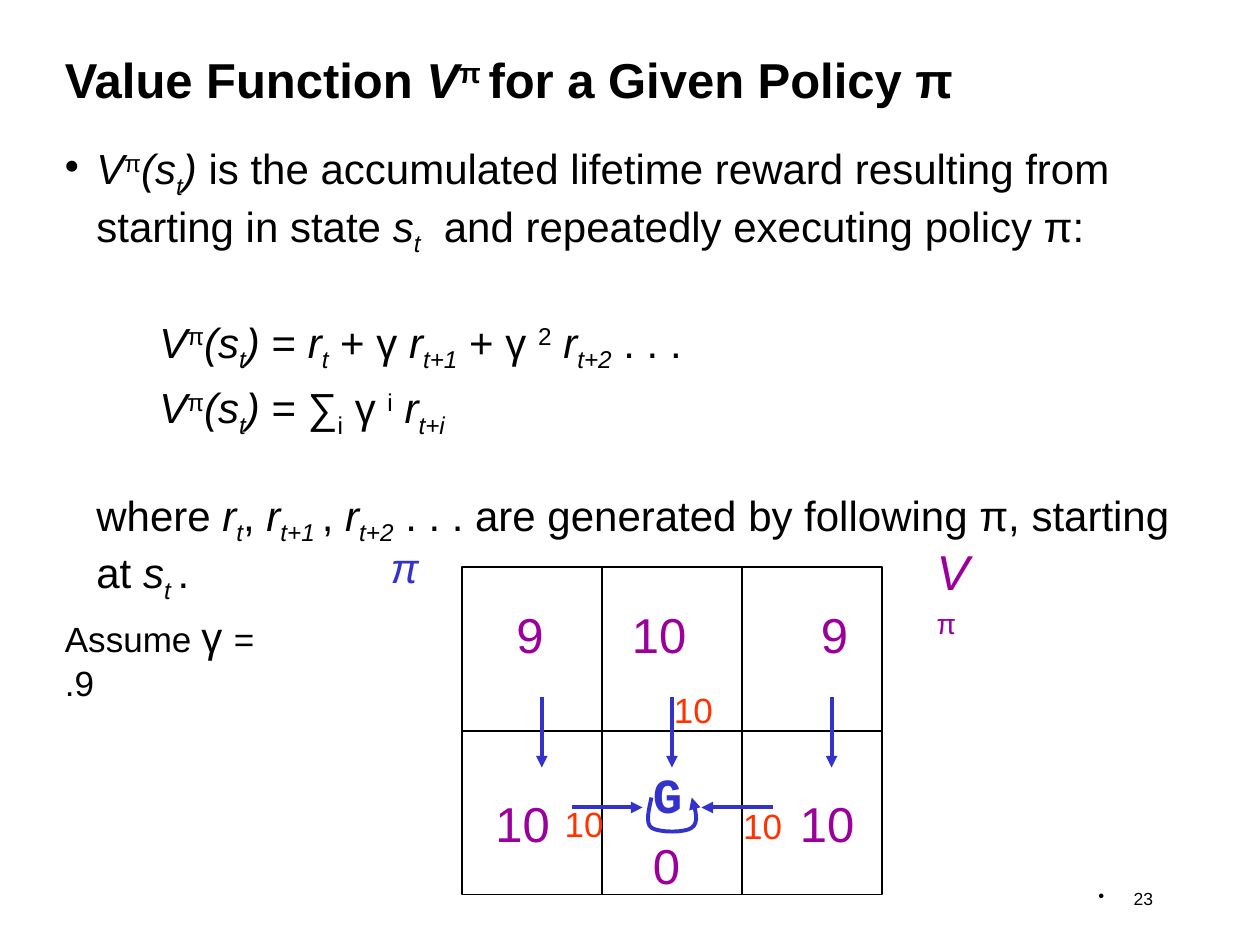
from dataclasses import dataclass
from typing import NamedTuple

from lxml.etree import SubElement
from pptx import Presentation
from pptx.dml.color import RGBColor
from pptx.enum.shapes import MSO_CONNECTOR, MSO_SHAPE
from pptx.enum.text import MSO_ANCHOR, PP_ALIGN
from pptx.oxml.ns import qn
from pptx.util import Inches, Pt


@dataclass(frozen=True)
class Theme:
    font: str = "Arial"
    goal_font: str = "Courier New"
    ink: str = "000000"
    value: str = "9C009C"
    policy: str = "3333CC"
    reward: str = "FF3300"
    title: int = 28
    body: int = 24
    note: int = 20
    number: int = 10


THEME = Theme()
UNIT = 1 / 12  # the slide is a grid of 120 columns by 90 rows


class Piece(NamedTuple):
    """A stretch of text; style holds i (italic), ^ (superscript), _ (subscript)."""
    text: str
    style: str = ""
    size: int = 0


class Para(NamedTuple):
    pieces: list[Piece]
    before: float = 0
    left: float = 0
    hanging: float = 0  # a bullet is drawn when this is set


class Label(NamedTuple):
    text: str
    col: float
    row: float
    width: float
    height: float
    size: int
    color: str
    font: str = THEME.font
    bold: bool = False


class Move(NamedTuple):
    start: tuple[float, float]
    end: tuple[float, float]


def grid(cells: float) -> int:
    return Inches(cells * UNIT)


def sub(base: str, index: str) -> list[Piece]:
    return [Piece(base, "i"), Piece(index, "i_")]


def write(slide, col: float, row: float, width: float, height: float, paras: list[Para],
          size: int, color: str = THEME.ink, font: str = THEME.font, bold: bool = False,
          left: float = 0.1, wrap: bool = True):
    box = slide.shapes.add_textbox(grid(col), grid(row), grid(width), grid(height))
    frame = box.text_frame
    frame.word_wrap = wrap
    frame.margin_left = Inches(left)
    for index, para in enumerate(paras):
        paragraph = frame.add_paragraph() if index else frame.paragraphs[0]
        if para.before:
            paragraph.space_before = Pt(para.before)
        props = paragraph._p.get_or_add_pPr()
        props.set("marL", str(Inches(para.left)))
        props.set("indent", str(-Inches(para.hanging)))
        if para.hanging:
            SubElement(props, qn("a:buChar")).set("char", "•")
        for piece in para.pieces:
            run = paragraph.add_run()
            run.text = piece.text
            run.font.name, run.font.size = font, Pt(piece.size or size)
            run.font.bold, run.font.italic = bold, "i" in piece.style
            run.font.color.rgb = RGBColor.from_string(color)
            for mark, shift in (("^", "30000"), ("_", "-25000")):
                if mark in piece.style:
                    run._r.get_or_add_rPr().set("baseline", shift)
    return frame


def draw_label(slide, label: Label) -> None:
    write(slide, label.col, label.row, label.width, label.height, [Para([Piece(label.text)])],
          label.size, label.color, label.font, label.bold, wrap=False)


def style_arrow(shape) -> None:
    shape.line.color.rgb = RGBColor.from_string(THEME.policy)
    shape.line.width = Pt(2.25)
    SubElement(shape.line._get_or_add_ln(), qn("a:tailEnd")).set("type", "triangle")


def draw_move(slide, move: Move) -> None:
    arrow = slide.shapes.add_connector(
        MSO_CONNECTOR.STRAIGHT, *map(grid, move.start), *map(grid, move.end))
    style_arrow(arrow)
    SubElement(arrow._element.spPr, qn("a:effectLst"))


def draw_cell(slide, column: int, row: int) -> None:
    width, height = 40 / 3, 15.6
    cell = slide.shapes.add_shape(MSO_SHAPE.RECTANGLE, grid(44 + column * width),
                                  grid(54 + row * height), grid(width), grid(height))
    cell.shadow.inherit = False
    cell.fill.background()
    cell.line.color.rgb = RGBColor.from_string(THEME.ink)
    cell.line.width = Pt(1)


def bezier(points: list[tuple[float, float]], t: float) -> tuple[int, int]:
    weights = ((1 - t) ** 3, 3 * t * (1 - t) ** 2, 3 * t * t * (1 - t), t ** 3)
    return tuple(Inches(sum(w * p[axis] for w, p in zip(weights, points))) for axis in (0, 1))


def draw_goal_loop(slide) -> None:
    curves = [[(5.17, 6.33), (5.15, 6.43), (5.12, 6.53), (5.17, 6.57)],
              [(5.17, 6.57), (5.23, 6.61), (5.44, 6.61), (5.49, 6.57)],
              [(5.49, 6.57), (5.55, 6.53), (5.52, 6.43), (5.49, 6.33)]]
    steps = 8
    trace = [bezier(curve, step / steps) for curve in curves for step in range(1, steps + 1)]
    builder = slide.shapes.build_freeform(*bezier(curves[0], 0))
    builder.add_line_segments(trace, close=False)
    loop = builder.convert_to_shape()
    loop.shadow.inherit = False
    loop.fill.background()
    style_arrow(loop)


VALUE_OF_STATE = [Piece("V", "i"), Piece("π", "^"), *sub("(s", "t"), Piece(")", "i")]
DEFINITION = [
    Para([*VALUE_OF_STATE,
          Piece(" is the accumulated lifetime reward resulting from starting in state "),
          *sub("s", "t"), Piece("  and repeatedly executing policy π:")],
         left=0.25, hanging=0.25),
    Para([*VALUE_OF_STATE, Piece(" = "), *sub("r", "t"), Piece(" + γ "), *sub("r", "t+1"),
          Piece(" + γ "), Piece("2", "^"), Piece(" "), *sub("r", "t+2"), Piece(" . . .")],
         before=33.6, left=0.75),
    Para([*VALUE_OF_STATE, Piece(" = ∑"), Piece("i", "_"), Piece(" γ "), Piece("i", "^"),
          Piece(" "), *sub("r", "t+i")], before=4.8, left=0.75),
    Para([Piece("where "), *sub("r", "t"), Piece(", "), *sub("r", "t+1 "), Piece(", "),
          *sub("r", "t+2"),
          Piece(" . . . are generated by following π, starting at "),
          *sub("s", "t "), Piece(".")], before=28.6, left=0.25),
]
STATE_VALUES = [
    Label(text, col, row, 7.7 if len(text) > 1 else 5, 6.8, THEME.title, THEME.value)
    for text, col, row in [("9", 48, 57), ("10", 59, 57), ("9", 77, 57),
                           ("10", 46, 75), ("0", 61, 79), ("10", 75, 75)]]
REWARDS = [Label("10", col, row, 6.1, 5.2, THEME.note, THEME.reward)
           for col, row in [(63, 65), (69.6, 76), (52.6, 75.8)]]
GOAL = Label("G", 61, 72.2, 5.2, 6.8, THEME.title, THEME.policy, THEME.goal_font, True)
MOVES = [Move((col, 66.4), (col, 73.1)) for col in (51.6, 64, 79.2)]
MOVES += [Move((54.5, 76.9), (61.2, 76.9)), Move((73.6, 76.9), (66.8, 76.9))]


def main() -> None:
    deck = Presentation()
    deck.slide_width, deck.slide_height = grid(120), grid(90)
    slide = deck.slides.add_slide(deck.slide_layouts[6])

    # Title, definition and page number
    title = write(slide, 5, 2, 102, 11, [Para([
        Piece("Value Function "), Piece("V", "i"), Piece("π ", "^"),
        Piece("for a Given Policy π")])], THEME.title, bold=True)
    title.vertical_anchor = MSO_ANCHOR.MIDDLE
    write(slide, 5, 13, 111, 41, DEFINITION, THEME.body)
    number = write(slide, 82, 84, 29, 4, [Para([Piece("23")], left=0.28, hanging=0.28)],
                   THEME.number)
    number.paragraphs[0].alignment = PP_ALIGN.RIGHT

    # Assumption and headings of the grid world
    write(slide, 5, 57.6, 23.6, 6, [Para([
        Piece("Assume "), Piece("γ ", size=THEME.body), Piece("= .9")])], THEME.note)
    write(slide, 30, 51, 9.4, 6, [Para([Piece("π", "i")])], THEME.body, THEME.policy, left=0.6)
    write(slide, 82, 51, 13.2, 6.8, [Para([Piece("V", "i"), Piece("π", "^")])],
          THEME.title, THEME.value, left=0.6)

    # Grid world: cells, policy arrows, values and rewards
    for column in range(3):
        for row in range(2):
            draw_cell(slide, column, row)
    for move in MOVES:
        draw_move(slide, move)
    for label in [*STATE_VALUES, GOAL, *REWARDS]:
        draw_label(slide, label)
    draw_goal_loop(slide)

    deck.save("out.pptx")


if __name__ == "__main__":
    main()
